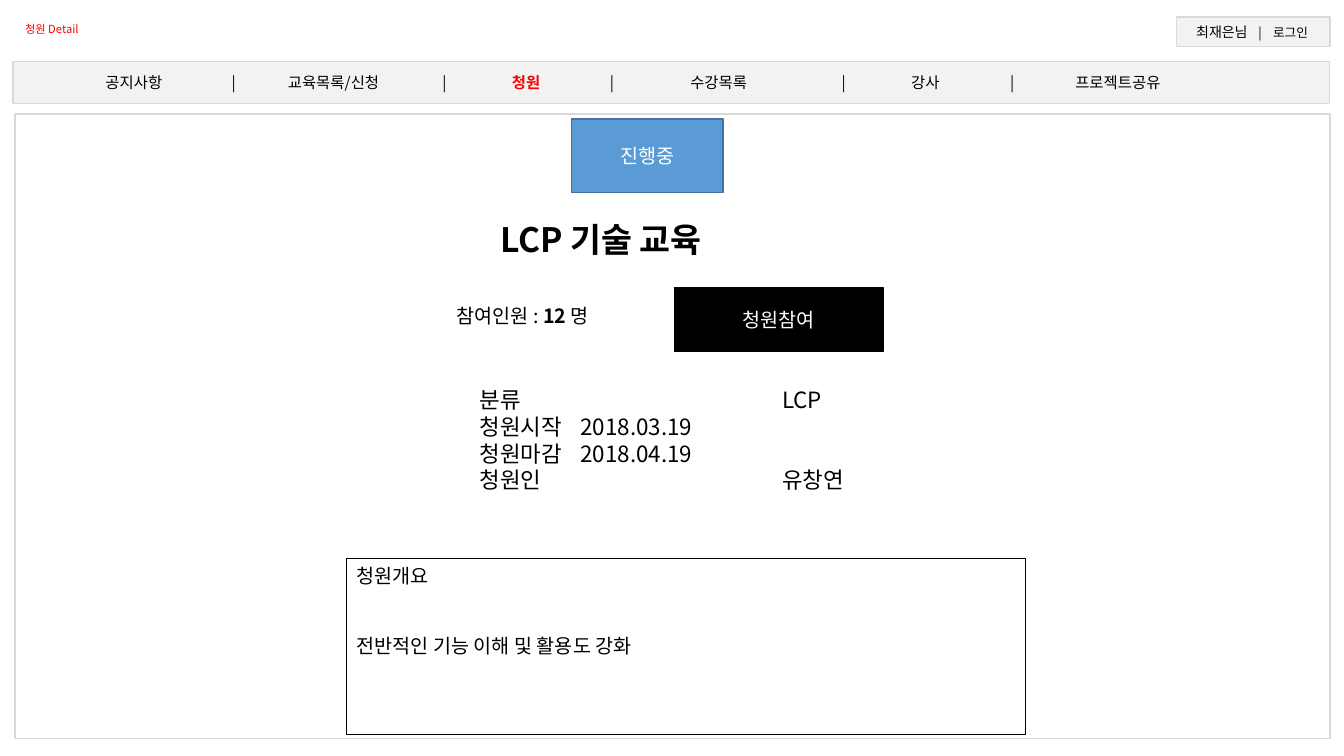
from dataclasses import dataclass
from typing import NamedTuple

from lxml import etree
from pptx import Presentation
from pptx.dml.color import RGBColor
from pptx.enum.shapes import MSO_SHAPE
from pptx.enum.text import MSO_ANCHOR, MSO_AUTO_SIZE, PP_ALIGN
from pptx.oxml.ns import qn
from pptx.util import Inches, Pt

RECTANGLE = MSO_SHAPE.RECTANGLE
TOP, MIDDLE = MSO_ANCHOR.TOP, MSO_ANCHOR.MIDDLE
LEFT, CENTER = PP_ALIGN.LEFT, PP_ALIGN.CENTER
TITLE_ONLY = 5
FONT = "Noto Sans CJK KR"
BLACK, WHITE, RED = "000000", "FFFFFF", "FF0000"
BLUE, DARK_BLUE = "5B9BD5", "43739E"
PANEL_GREY, BORDER_GREY = "F2F2F2", "D9D9D9"
SIDE_INSET = 0.1


class Span(NamedTuple):
    text: str
    size: float
    color: str = BLACK
    bold: bool = False


class TabStop(NamedTuple):
    position: float
    alignment: str


@dataclass
class Area:
    left: float
    top: float
    width: float
    height: float

    def lengths(self):
        return [Inches(value) for value in (self.left, self.top, self.width, self.height)]


@dataclass
class Box:
    area: Area
    line: str
    fill: str | None = None
    line_width: float = 1


def rgb(color: str) -> RGBColor:
    return RGBColor.from_string(color)


def add_span(paragraph, span: Span) -> None:
    run = paragraph.add_run()
    run.text = span.text
    font = run.font
    font.name, font.size, font.bold = FONT, Pt(span.size), span.bold
    font.color.rgb = rgb(span.color)
    etree.SubElement(run._r.get_or_add_rPr(), qn("a:ea"), typeface=FONT)


def write(shape, lines: list[list[Span]], anchor=TOP, alignment=LEFT,
          tabs: list[TabStop] | None = None, gap: float = 0, wrap: bool = True) -> None:
    """Fill a shape with one paragraph per line, with gap points between them."""
    frame = shape.text_frame
    frame.auto_size = MSO_AUTO_SIZE.NONE
    frame.word_wrap = wrap
    frame.vertical_anchor = anchor
    for index, spans in enumerate(lines):
        paragraph = frame.add_paragraph() if index else frame.paragraphs[0]
        if tabs:
            properties = paragraph._p.get_or_add_pPr()
            tab_list = etree.SubElement(properties, qn("a:tabLst"))
            for tab in tabs:
                etree.SubElement(tab_list, qn("a:tab"),
                                 pos=str(Inches(tab.position)), algn=tab.alignment)
        paragraph.alignment = alignment
        paragraph.space_before = Pt(gap if index else 0)
        for span in spans:
            add_span(paragraph, span)


def add_box(slide, box: Box):
    shape = slide.shapes.add_shape(RECTANGLE, *box.area.lengths())
    shape.shadow.inherit = False
    if box.fill:
        shape.fill.solid()
        shape.fill.fore_color.rgb = rgb(box.fill)
    else:
        shape.fill.background()
    shape.line.color.rgb = rgb(box.line)
    shape.line.width = Pt(box.line_width)
    return shape


def add_bar(slide, area: Area, items: list[Span], centers: list[float]) -> None:
    """Draw a grey bar whose items sit centred at the given slide positions."""
    bar = add_box(slide, Box(area, BORDER_GREY, PANEL_GREY))
    tabs = [TabStop(center - area.left - SIDE_INSET, "ctr") for center in centers]
    spans = [item._replace(text="\t" + item.text) for item in items]
    write(bar, [spans], MIDDLE, tabs=tabs)


def add_button(slide, box: Box, label: str) -> None:
    write(add_box(slide, box), [[Span(label, 14, WHITE)]], MIDDLE, CENTER)


def add_text(slide, area: Area, lines: list[list[Span]], **options) -> None:
    write(slide.shapes.add_textbox(*area.lengths()), lines, **options)


def add_header(slide) -> None:
    add_text(slide, Area(0.15, 0.17, 2.9, 0.24), [[Span("청원 Detail", 8, RED)]])

    account = [Span("최재은님", 10), Span("|", 9), Span("로그인", 9)]
    add_bar(slide, Area(11.67, 0.17, 1.52, 0.29), account, [12.12, 12.5, 12.8])

    menu = ["공지사항", "교육목록/신청", "청원", "수강목록", "강사", "프로젝트공유"]
    items = []
    for name in menu:
        if items:
            items.append(Span("|", 11))
        current = name == "청원"
        items.append(Span(name, 11, RED if current else BLACK, current))
    centers = [1.33, 2.32, 3.31, 4.41, 5.22, 6.07, 7.13, 8.37, 9.18, 10.04, 11.09]
    add_bar(slide, Area(0.13, 0.61, 13.06, 0.42), items, centers)


def add_petition(slide) -> None:
    add_box(slide, Box(Area(0.15, 1.13, 13.04, 6.2), BORDER_GREY))
    add_button(slide, Box(Area(5.67, 1.18, 1.5, 0.73), DARK_BLUE, BLUE), "진행중")
    add_button(slide, Box(Area(6.69, 2.85, 2.07, 0.64), BLACK, BLACK), "청원참여")

    title = slide.shapes.title
    title.left, title.top, title.width, title.height = Area(4.86, 2.12, 4.62, 0.5).lengths()
    write(title, [[Span("LCP 기술 교육", 24, bold=True)]])

    participants = [Span("참여인원 : ", 14), Span("12 ", 14, bold=True), Span("명", 14)]
    add_text(slide, Area(4.43, 2.97, 1.66, 0.34), [participants], wrap=False)

    rows = ["분류\t\tLCP", "청원시작\t2018.03.19", "청원마감\t2018.04.19", "청원인\t\t유창연"]
    add_text(slide, Area(4.66, 3.78, 4.09, 1.18), [[Span(row, 16)] for row in rows],
             tabs=[TabStop(1, "l"), TabStop(3, "l")])

    overview = add_box(slide, Box(Area(3.44, 5.54, 6.73, 1.75), BLACK, line_width=0))
    write(overview, [[Span("청원개요", 14)],
                     [Span("전반적인 기능 이해 및 활용도 강화", 14)]], gap=33.5)


def main() -> None:
    presentation = Presentation()
    presentation.slide_width = Inches(13.33)
    presentation.slide_height = Inches(7.5)
    slide = presentation.slides.add_slide(presentation.slide_layouts[TITLE_ONLY])
    add_header(slide)
    add_petition(slide)
    presentation.save("out.pptx")


if __name__ == "__main__":
    main()
